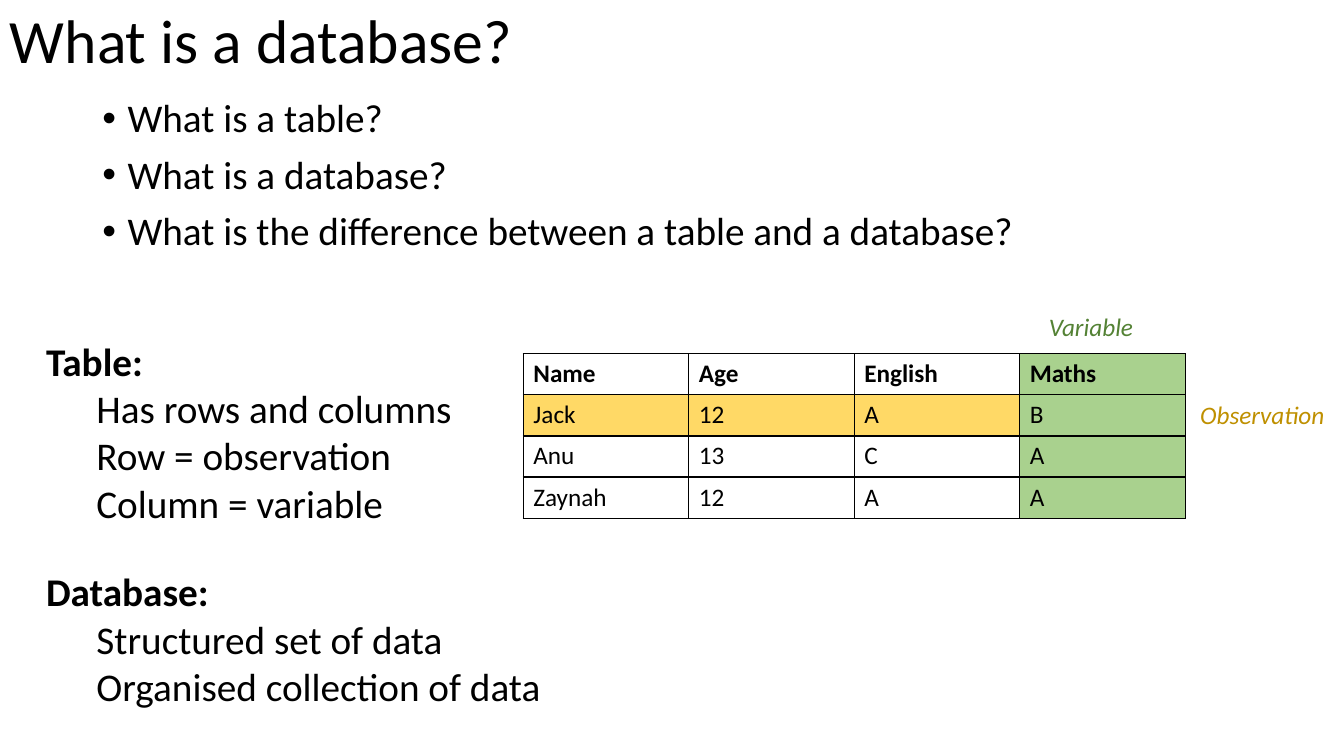
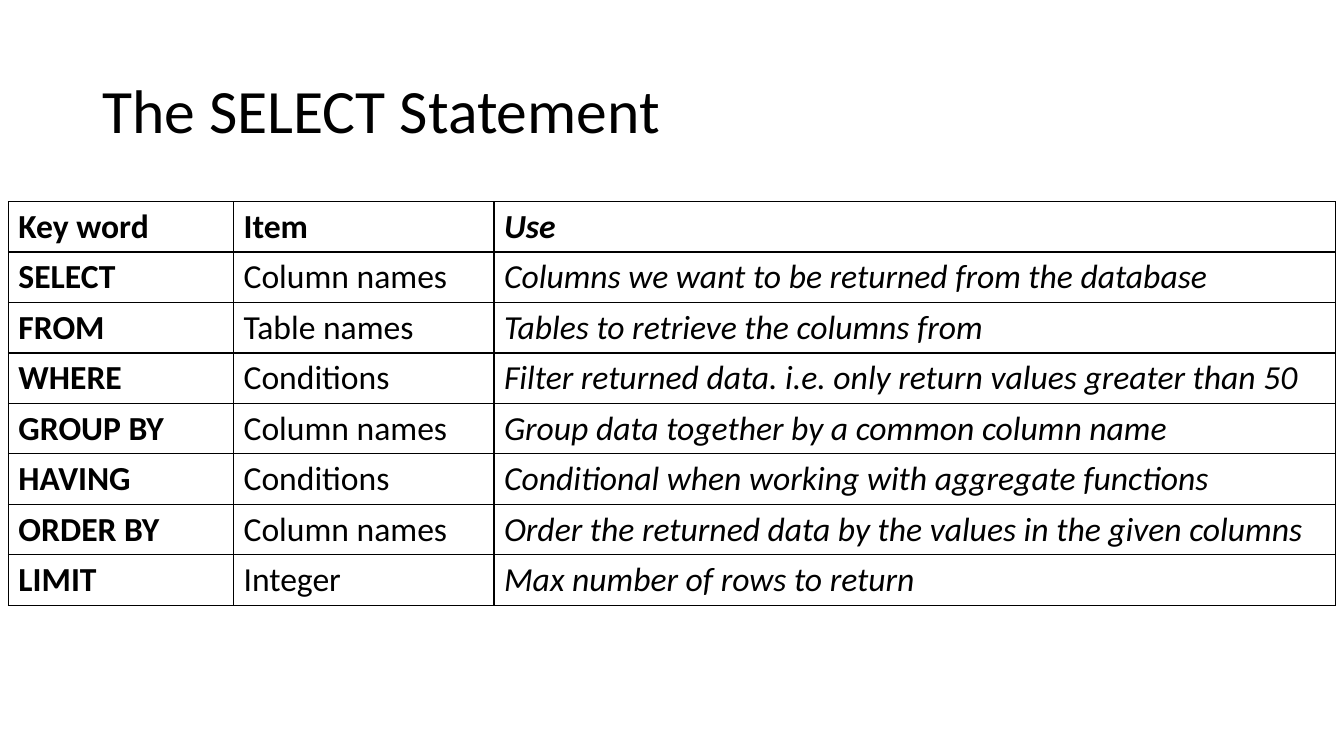
"""Build two slides that introduce databases and the SELECT statement."""
from dataclasses import dataclass

from lxml import etree
from pptx import Presentation, util as u
from pptx.dml.color import RGBColor
from pptx.enum import text
from pptx.oxml import ns


@dataclass(frozen=True)
class Theme:
    """Colours, font and type sizes shared by the slides."""
    font: str = "Calibri"
    ink: str = "000000"
    gold: str = "FFD966"
    green: str = "A9D18E"
    ochre: str = "BF9000"
    leaf: str = "548235"
    title: int = 44
    body: int = 28
    grid: int = 24
    note: int = 18
    rule: int = 1
    tight: float = 0.9
    gap: int = 10


class Deck:
    """A deck on a grid of 16 columns by 9 rows, with its current slide."""

    def __init__(self, theme):
        """Start an empty wide deck."""
        self.look = theme
        self.file = Presentation()
        self.file.slide_width = u.Inches(13.33)
        self.file.slide_height = u.Inches(7.5)
        self.page = None

    def col(self, n):
        """Turn grid columns into a length."""
        return round(self.file.slide_width * n / 16)

    def row(self, n):
        """Turn grid rows into a length."""
        return round(self.file.slide_height * n / 9)

    def area(self, x, y, w, h):
        """Turn a grid area into lengths."""
        return self.col(x), self.row(y), self.col(w), self.row(h)

    def style(self, para, size, tint=None, bold=False, slant=False):
        """Set the type of a paragraph's runs."""
        for run in para.runs:
            font = run.font
            font.name, font.size = self.look.font, u.Pt(size)
            font.bold, font.italic = bold, slant
            font.color.rgb = RGBColor.from_string(tint or self.look.ink)

    def box(self, area, lines):
        """Add a wrapping text box and return its frame."""
        frame = self.page.shapes.add_textbox(*self.area(*area)).text_frame
        frame.word_wrap = True
        frame.text = "\n".join(lines)
        return frame

    def slide(self, title, area):
        """Start a slide with its title."""
        self.page = self.file.slides.add_slide(self.file.slide_layouts[6])
        frame = self.box(area, [title])
        frame.vertical_anchor = text.MSO_ANCHOR.MIDDLE
        para = frame.paragraphs[0]
        para.line_spacing = self.look.tight
        self.style(para, self.look.title)

    def list(self, area, lines):
        """Add a bulleted list."""
        for n, para in enumerate(self.box(area, lines).paragraphs):
            props = para._p.get_or_add_pPr()
            props.set("marL", str(u.Inches(0.25)))
            props.set("indent", str(-u.Inches(0.25)))
            etree.SubElement(props, ns.qn("a:buFont"), typeface="Arial")
            etree.SubElement(props, ns.qn("a:buChar"), char="•")
            para.line_spacing = self.look.tight
            para.space_before = u.Pt(self.look.gap if n else 0)
            self.style(para, self.look.body)

    def facts(self, area, head, lines):
        """Add a bold heading with indented lines below."""
        for n, para in enumerate(self.box(area, [head, *lines]).paragraphs):
            if n:
                para.level = 1
                para._p.get_or_add_pPr().set("marL", str(u.Inches(0.5)))
            self.style(para, self.look.body, bold=n == 0)

    def note(self, area, line, tint):
        """Add a slanted label."""
        para = self.box(area, [line]).paragraphs[0]
        self.style(para, self.look.note, tint, slant=True)

    def edge(self, cell):
        """Draw a thin rule on all sides of a cell."""
        props = cell._tc.get_or_add_tcPr()
        for side in ("lnL", "lnR", "lnT", "lnB"):
            line = etree.SubElement(props, ns.qn("a:" + side),
                                    w=str(u.Pt(self.look.rule)))
            fill = etree.SubElement(line, ns.qn("a:solidFill"))
            etree.SubElement(fill, ns.qn("a:srgbClr"), val=self.look.ink)

    def table(self, spot, wide, high, data, size, fill, bold, slant):
        """Add a ruled table; the rules take row and column of a cell."""
        area = self.area(*spot, sum(wide), high * len(data))
        grid = self.page.shapes.add_table(len(data), len(wide), *area).table
        grid.first_row = grid.horz_banding = False
        for n, share in enumerate(wide):
            grid.columns[n].width = self.col(share)
        for r, line in enumerate(data):
            grid.rows[r].height = self.row(high)
            for c, word in enumerate(line):
                cell = grid.cell(r, c)
                cell.text_frame.text = word
                self.style(cell.text_frame.paragraphs[0], size,
                           bold=bold(r, c), slant=slant(r, c))
                self.edge(cell)
                tint = fill(r, c)
                if tint:
                    cell.fill.solid()
                    cell.fill.fore_color.rgb = RGBColor.from_string(tint)
                else:
                    cell.fill.background()


MARKS = [
    ("Name", "Age", "English", "Maths"),
    ("Jack", "12", "A", "B"),
    ("Anu", "13", "C", "A"),
    ("Zaynah", "12", "A", "A"),
]

WORDS = [
    ("Key word", "Item", "Use"),
    ("SELECT", "Column names",
     "Columns we want to be returned from the database"),
    ("FROM", "Table names", "Tables to retrieve the columns from"),
    ("WHERE", "Conditions",
     "Filter returned data. i.e. only return values greater than 50"),
    ("GROUP BY", "Column names", "Group data together by a common column name"),
    ("HAVING", "Conditions",
     "Conditional when working with aggregate functions"),
    ("ORDER BY", "Column names",
     "Order the returned data by the values in the given columns"),
    ("LIMIT", "Integer", "Max number of rows to return"),
]


def main():
    """Build and save the deck."""
    look = Theme()
    deck = Deck(look)

    deck.slide("What is a database?", (0, 0, 13.8, 1.04))
    deck.list((1.1, 1.12, 13.8, 2.2), [
        "What is a table?",
        "What is a database?",
        "What is the difference between a table and a database?",
    ])
    deck.table((6.23, 4.21), [1.97] * 4, 0.49, MARKS, look.note,
               fill=lambda r, c: (look.green if c == 3
                                  else look.gold if r == 1 else None),
               bold=lambda r, c: r == 0, slant=lambda r, c: False)
    deck.note((14.17, 4.7, 1.83, 0.48), "Observation", look.ochre)
    deck.note((12.37, 3.65, 3.6, 0.48), "Variable", look.leaf)
    deck.facts((0.43, 3.96, 5.7, 2.39), "Table:", [
        "Has rows and columns", "Row = observation", "Column = variable"])
    deck.facts((0.43, 6.7, 10.5, 1.81), "Database:", [
        "Structured set of data", "Organised collection of data"])

    deck.slide("The SELECT Statement", (1.1, 0.48, 13.8, 1.74))
    deck.table((0.1, 2.4), [2.68, 3.1, 10.02], 0.6, WORDS, look.grid,
               fill=lambda r, c: None,
               bold=lambda r, c: r == 0 or c == 0,
               slant=lambda r, c: c == 2)

    deck.file.save("out.pptx")


if __name__ == "__main__":
    main()
